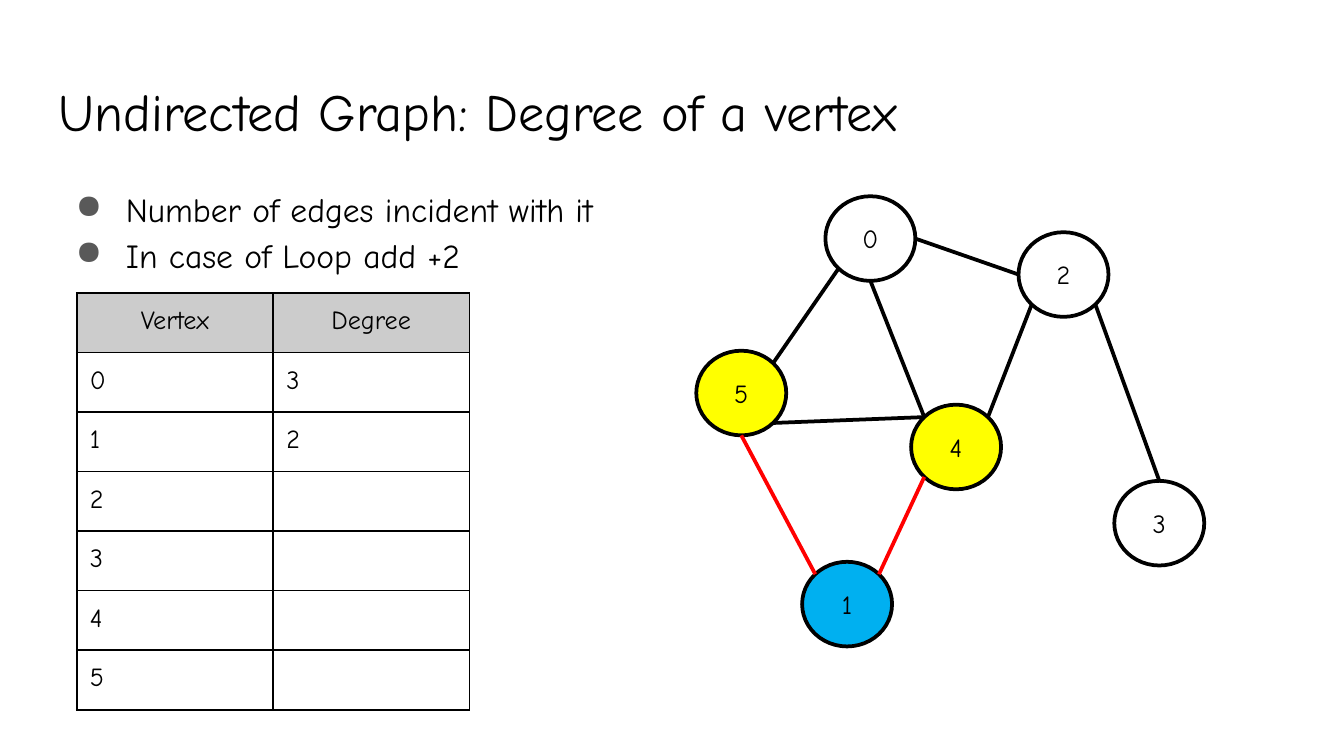
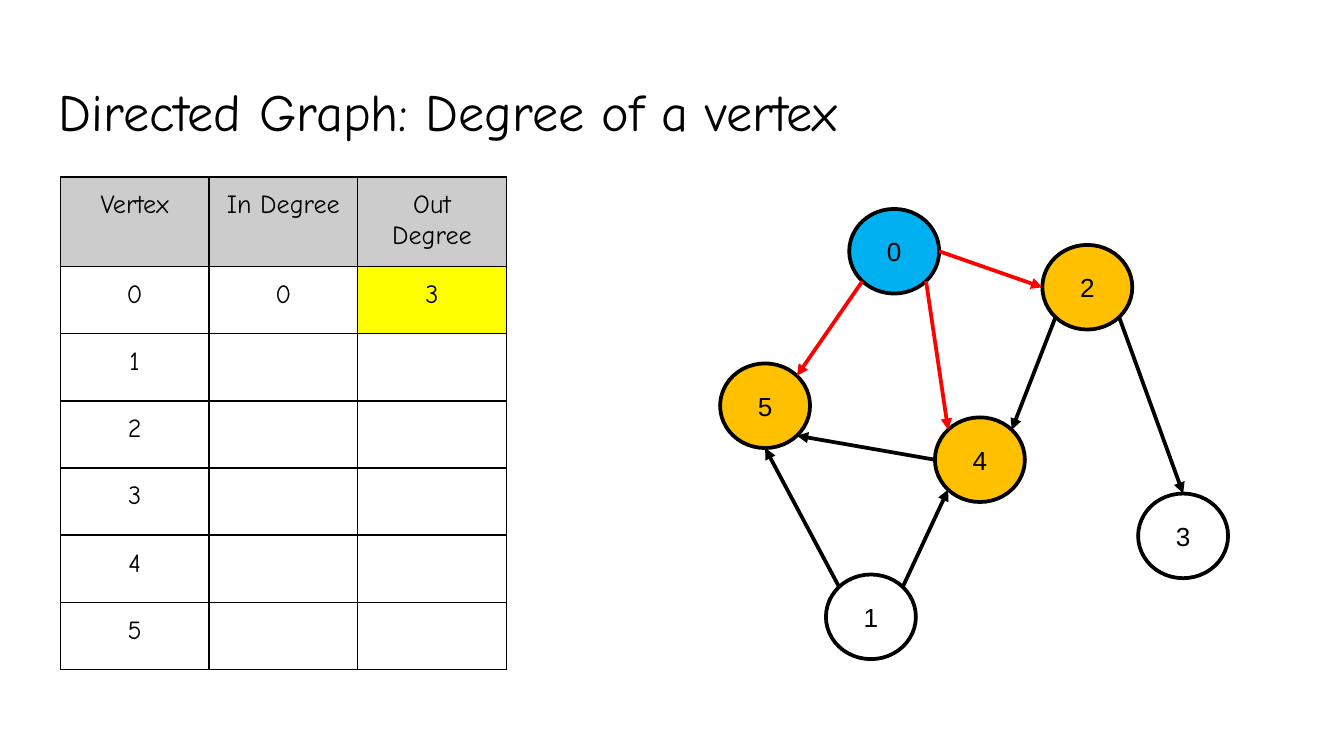
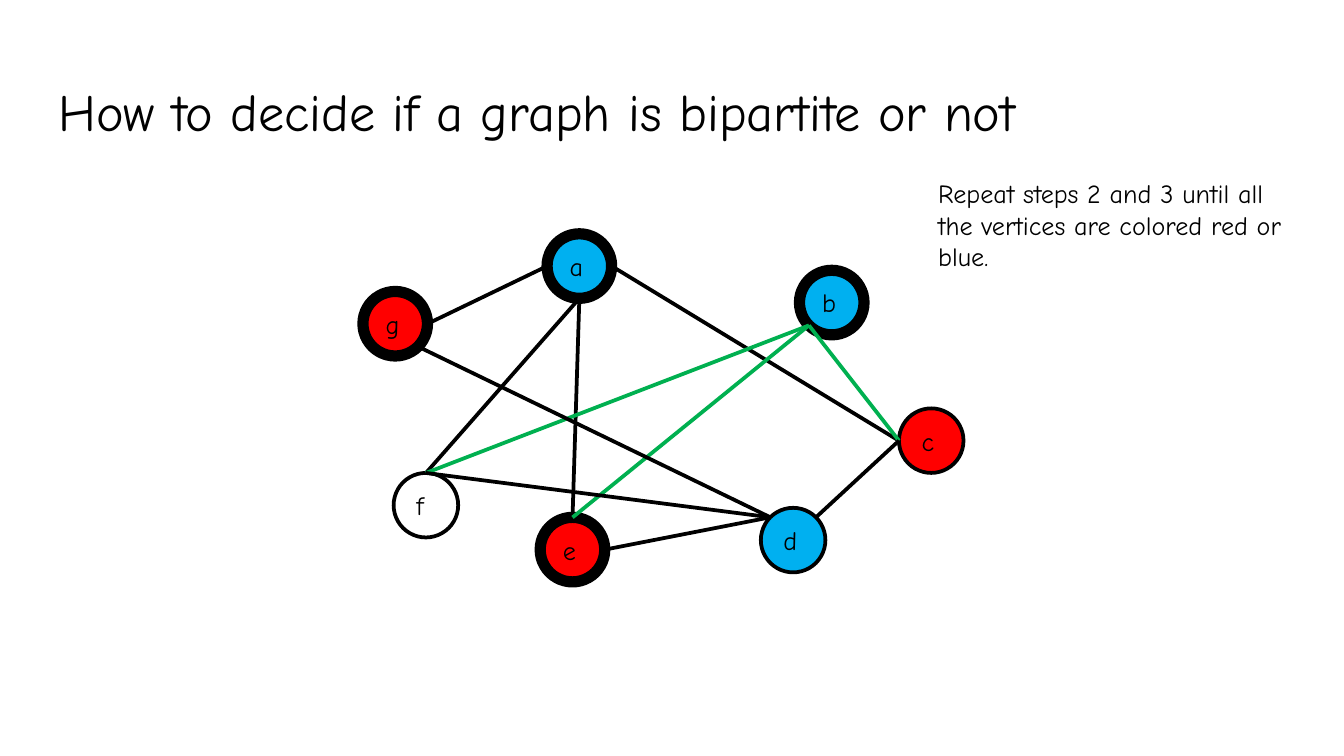
from dataclasses import dataclass
from math import sqrt

import pptx
import pptx.dml.color
import pptx.enum.shapes
import pptx.enum.text
import pptx.oxml
import pptx.oxml.ns
import pptx.util
from lxml import etree

Cm = pptx.util.Cm
Pt = pptx.util.Pt
qn = pptx.oxml.ns.qn
ALIGN = pptx.enum.text.PP_ALIGN
ANCHOR = pptx.enum.text.MSO_ANCHOR


@dataclass(frozen=True)
class Theme:
    black: str = "000000"
    white: str = "FFFFFF"
    header: str = "CCCCCC"
    bullet: str = "595959"
    blue: str = "00B0F0"
    yellow: str = "FFFF00"
    orange: str = "FFC000"
    red: str = "FF0000"
    green: str = "00B050"
    font: str = "Comic Neue"
    plain_font: str = "Arial"
    title_size: int = 28
    body_size: int = 18
    label_size: int = 14
    thin: int = 1
    line: int = 2
    thick: int = 6
    inset: float = 0.25


THEME = Theme()

# Directions from a vertex centre, in radii
DIAGONAL = 1 / sqrt(2)
COMPASS = {
    "N": (0, -1), "S": (0, 1), "W": (-1, 0), "E": (1, 0),
    "NW": (-DIAGONAL, -DIAGONAL), "NE": (DIAGONAL, -DIAGONAL),
    "SW": (-DIAGONAL, DIAGONAL), "SE": (DIAGONAL, DIAGONAL),
}


def rgb(color):
    return pptx.dml.color.RGBColor.from_string(color)


class GraphDeck:
    """Holds the style, the deck and the current slide."""

    def __init__(self, theme):
        self.theme = theme
        self.deck = pptx.Presentation()
        self.deck.slide_width, self.deck.slide_height = Cm(25.4), Cm(14.29)
        self.slide = None

    def new_slide(self, title, title_width=23.67):
        self.slide = self.deck.slides.add_slide(self.deck.slide_layouts[6])
        self.text_box(0.86, 1.24, title_width, 1.6, [title], self.theme.title_size)

    def add_span(self, para, text, size, font=None):
        span = para.add_run()
        span.text = text
        span.font.size = Pt(size)
        span.font.name = font or self.theme.font
        span.font.color.rgb = rgb(self.theme.black)

    def set_margins(self, target, vertical=None):
        target.margin_left = target.margin_right = Cm(self.theme.inset)
        target.margin_top = target.margin_bottom = Cm(
            self.theme.inset if vertical is None else vertical)

    def add_bullet(self, para):
        props = para._p.get_or_add_pPr()
        props.set("marL", str(Cm(1.27)))
        props.set("indent", str(Cm(-0.95)))
        color = etree.SubElement(props, qn("a:buClr"))
        etree.SubElement(color, qn("a:srgbClr"), val=self.theme.bullet)
        etree.SubElement(props, qn("a:buChar"), char="●")
        para.line_spacing = 1.15

    def text_box(self, left, top, width, height, lines, size,
                 bullets=False, vertical=None, grow=False):
        box = self.slide.shapes.add_textbox(Cm(left), Cm(top), Cm(width), Cm(height))
        frame = box.text_frame
        frame.word_wrap = True
        self.set_margins(frame, vertical)
        if grow:
            frame.auto_size = pptx.enum.text.MSO_AUTO_SIZE.SHAPE_TO_FIT_TEXT
        for index, line in enumerate(lines):
            para = frame.add_paragraph() if index else frame.paragraphs[0]
            if bullets:
                self.add_bullet(para)
            self.add_span(para, line, size)

    def vertex(self, label, left, top, size, fill, weight, font, align):
        shape = self.slide.shapes.add_shape(
            pptx.enum.shapes.MSO_SHAPE.FLOWCHART_CONNECTOR,
            Cm(left), Cm(top), Cm(size[0]), Cm(size[1]))
        shape.shadow.inherit = False
        shape.fill.solid()
        shape.fill.fore_color.rgb = rgb(fill)
        shape.line.color.rgb = rgb(self.theme.black)
        shape.line.width = Pt(weight)
        frame = shape.text_frame
        frame.vertical_anchor = ANCHOR.MIDDLE
        self.set_margins(frame)
        para = frame.paragraphs[0]
        para.alignment = align
        self.add_span(para, label, self.theme.label_size, font)

    def edge(self, start, end, color, arrow):
        line = self.slide.shapes.add_connector(
            pptx.enum.shapes.MSO_CONNECTOR.STRAIGHT,
            *(Cm(length) for length in (*start, *end)))
        line.line.color.rgb = rgb(color)
        line.line.width = Pt(self.theme.line)
        if arrow:
            etree.SubElement(line.line._get_or_add_ln(), qn("a:tailEnd"), type="triangle")
        etree.SubElement(line._element.spPr, qn("a:effectLst"))

    def graph(self, places, size, edges, fills, marked=None, marked_color=None,
              thick="", arrow=False, font=None, align=ALIGN.CENTER):
        """Edges read "from site to site"; marked tells which get marked_color."""
        for label, (left, top) in places.items():
            weight = self.theme.thick if label in thick else self.theme.line
            self.vertex(label, left, top, size,
                        fills.get(label, self.theme.white), weight, font, align)

        def site(label, direction):
            return [corner + length / 2 * (1 + step) for corner, length, step
                    in zip(places[label], size, COMPASS[direction])]

        for edge in edges:
            tail, tail_site, head, head_site = edge.split()
            color = marked_color if marked in (tail, head) else self.theme.black
            self.edge(site(tail, tail_site), site(head, head_site), color, arrow)

    def border(self, cell):
        props = cell._tc.get_or_add_tcPr()
        for index, side in enumerate(("lnL", "lnR", "lnT", "lnB")):
            line = etree.Element(qn(f"a:{side}"), w=str(Pt(self.theme.thin)))
            fill = etree.SubElement(line, qn("a:solidFill"))
            etree.SubElement(fill, qn("a:srgbClr"), val=self.theme.black)
            props.insert(index, line)

    def table(self, left, top, width, row_height, rows, body_align, fills=None):
        table = self.slide.shapes.add_table(
            len(rows), len(rows[0]), Cm(left), Cm(top),
            Cm(width), Cm(row_height * len(rows))).table
        table.first_row = table.horz_banding = False
        for row, texts in enumerate(rows):
            table.rows[row].height = Cm(row_height)
            for column, text in enumerate(texts):
                cell = table.cell(row, column)
                self.set_margins(cell)
                fill = (fills or {}).get((row, column))
                if row == 0:
                    fill = self.theme.header
                if fill:
                    cell.fill.solid()
                    cell.fill.fore_color.rgb = rgb(fill)
                else:
                    cell.fill.background()
                self.border(cell)
                para = cell.text_frame.paragraphs[0]
                para.alignment = body_align if row else ALIGN.CENTER
                if text:
                    self.add_span(para, text, self.theme.label_size)
                else:
                    etree.SubElement(para._p, qn("a:endParaRPr"),
                                     sz=str(self.theme.label_size * 100))


# Numbered graph shared by the two degree slides
NUMBERED = {
    "0": (15.6, 3.71), "3": (21.06, 9.09), "1": (15.16, 10.62),
    "5": (13.16, 6.63), "2": (19.25, 4.39), "4": (17.22, 7.65),
}
NUMBERED_SIZE = (1.7, 1.6)


def degree_rows(header, known):
    """One row per vertex; vertices without known degrees stay empty."""
    blank = [""] * (len(header) - 1)
    return [header] + [[str(v), *known.get(v, blank)] for v in range(6)]


def undirected_degree(pages):
    theme = pages.theme
    pages.new_slide("Undirected Graph: Degree of a vertex")
    pages.text_box(0.86, 3.2, 13.77, 1.85,
                   ["Number of edges incident with it", "In case of Loop add +2"],
                   theme.body_size, bullets=True)
    pages.table(1.45, 5.54, 7.42, 1.125,
                degree_rows(["Vertex", "Degree"], {0: ["3"], 1: ["2"]}), ALIGN.LEFT)
    pages.graph(
        NUMBERED, NUMBERED_SIZE,
        ["5 NE 0 SW", "0 E 2 W", "0 S 4 NW", "5 SE 4 NW",
         "5 S 1 NW", "1 NE 4 SW", "4 NE 2 SW", "2 SE 3 N"],
        {"1": theme.blue, "5": theme.yellow, "4": theme.yellow},
        marked="1", marked_color=theme.red)


def directed_degree(pages):
    theme = pages.theme
    pages.new_slide("Directed Graph: Degree of a vertex", title_width=20.65)
    shifted = {label: (left + 0.45, top + 0.24)
               for label, (left, top) in NUMBERED.items()}
    pages.graph(
        shifted, NUMBERED_SIZE,
        ["0 SW 5 NE", "0 E 2 W", "0 SE 4 NW", "4 W 5 SE",
         "1 NW 5 S", "1 NE 4 SW", "2 SW 4 NE", "2 SE 3 N"],
        {"0": theme.blue, **dict.fromkeys("245", theme.orange)},
        marked="0", marked_color=theme.red, arrow=True, font=theme.plain_font)
    pages.table(1.14, 3.35, 8.43, 1.27,
                degree_rows(["Vertex", "In Degree", "Out Degree"], {0: ["0", "3"]}),
                ALIGN.CENTER, fills={(1, 2): theme.yellow})


def bipartite_check(pages):
    theme = pages.theme
    pages.new_slide("How to decide if a graph is bipartite or not")
    pages.graph(
        {"a": (10.34, 4.42), "b": (15.11, 5.11), "g": (6.86, 5.51),
         "f": (7.44, 8.94), "e": (10.21, 9.78), "d": (14.38, 9.6),
         "c": (16.99, 7.72)},
        (1.22, 1.22),
        ["g E a W", "a E c W", "a S f N", "a S e N", "b SW c W", "b SW e N",
         "b SW f N", "g SE d NW", "d NE c W", "d NW f N", "d NW e E"],
        {**dict.fromkeys("abd", theme.blue), **dict.fromkeys("gec", theme.red)},
        marked="b", marked_color=theme.green, thick="abge", align=ALIGN.LEFT)
    pages.text_box(
        17.48, 3.23, 7.04, 2.06,
        ["Repeat steps 2 and 3 until all the vertices are colored red or blue."],
        theme.label_size, vertical=0.13, grow=True)


def main():
    pages = GraphDeck(THEME)
    undirected_degree(pages)
    directed_degree(pages)
    bipartite_check(pages)
    pages.deck.save("out.pptx")


if __name__ == "__main__":
    main()
